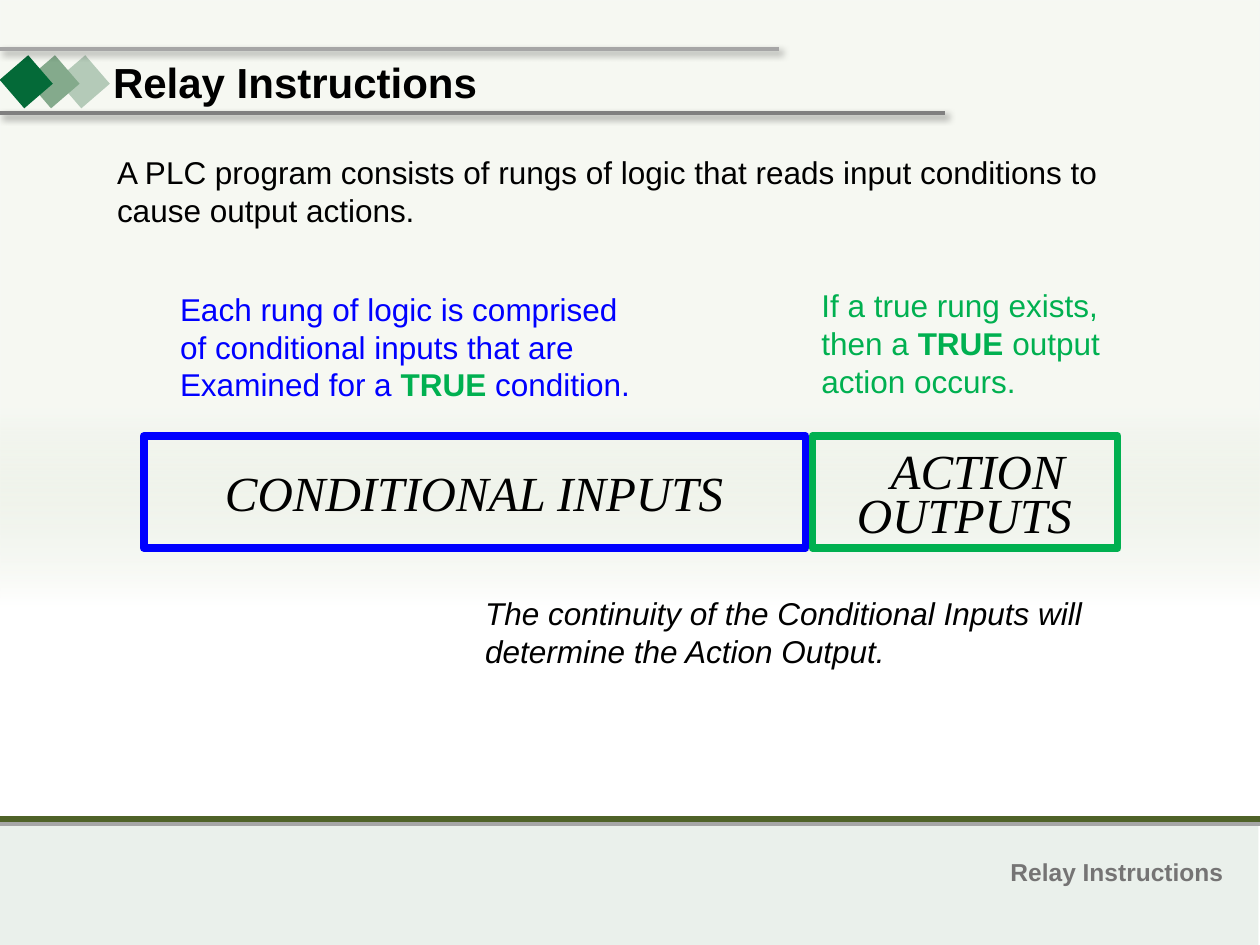
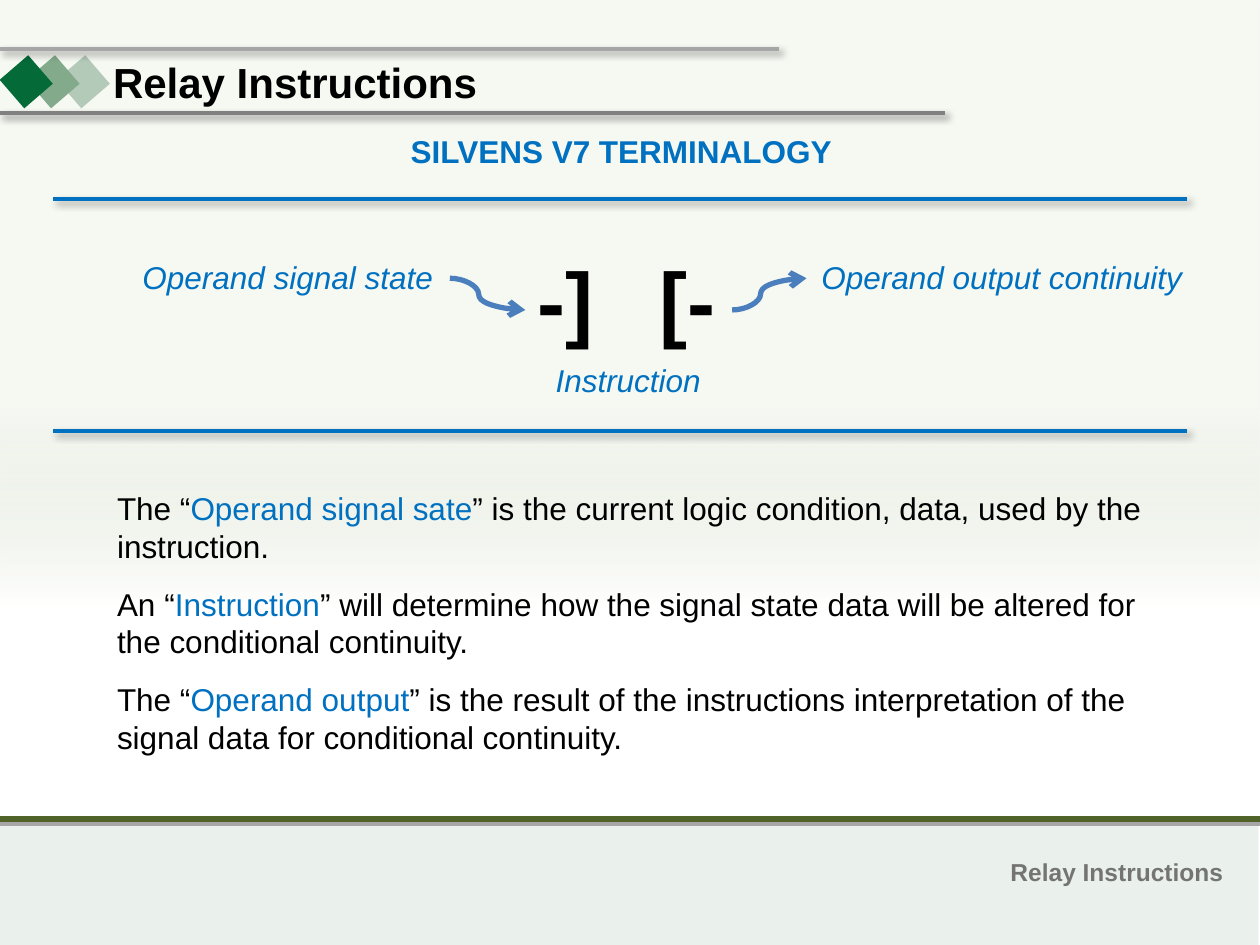
from dataclasses import dataclass

from lxml.etree import SubElement
from pptx import Presentation
from pptx.dml.color import RGBColor as RGB
from pptx.enum.shapes import MSO_CONNECTOR as LINK, MSO_SHAPE as SHAPE
from pptx.enum.text import MSO_AUTO_SIZE as FIT, PP_ALIGN as ALIGN
from pptx.oxml.ns import qn
from pptx.util import Cm, Pt


@dataclass(frozen=True)
class Theme:
    sans: str = "Arial"
    serif: str = "Times New Roman"
    black: str = "000000"
    white: str = "FFFFFF"
    sage: str = "D1DCC3"
    footer_band: str = "EAF0EB"
    footer_text: str = "757474"
    olive: str = "4F6228"
    light_gray: str = "A6A6A6"
    gray: str = "808080"
    diamonds: tuple = ("B4CAB8", "84AA8C", "046A38")
    input_blue: str = "0000FF"
    output_green: str = "00B050"
    term_blue: str = "0070C0"
    arrow_blue: str = "4B7EBC"
    footer_size: int = 14
    body_size: int = 18
    title_size: int = 24
    label_size: int = 28
    symbol_size: int = 48


theme = Theme()
body = dict(name=theme.sans, size=Pt(theme.body_size), color=theme.black)
title = body | dict(size=Pt(theme.title_size), bold=True)
footer = body | dict(size=Pt(theme.footer_size), bold=True, color=theme.footer_text)
block_label = body | dict(name=theme.serif, size=Pt(theme.label_size), italic=True)
symbol = body | dict(size=Pt(theme.symbol_size), bold=True)
term = body | dict(color=theme.term_blue)
term_label = term | dict(italic=True)
term_heading = term | dict(bold=True)
true_word = body | dict(color=theme.output_green, bold=True)
input_note = body | dict(color=theme.input_blue)
output_note = body | dict(color=theme.output_green)


def add_text(slide, place, paragraphs, wrap=True, align=ALIGN.LEFT, gap=0, tab=None):
    frame = slide.shapes.add_textbox(*map(Cm, place)).text_frame
    frame.word_wrap = wrap
    frame.auto_size = FIT.SHAPE_TO_FIT_TEXT
    for index, runs in enumerate(paragraphs):
        paragraph = frame.add_paragraph() if index else frame.paragraphs[0]
        paragraph.alignment = align
        if index:
            paragraph.space_before = Pt(gap)
        if tab:
            stops = SubElement(paragraph._p.get_or_add_pPr(), qn("a:tabLst"))
            SubElement(stops, qn("a:tab"), pos=str(Cm(tab)), algn="l")
        for words, style in runs:
            run = paragraph.add_run()
            run.text = words
            for key, value in style.items():
                if key == "color":
                    run.font.color.rgb = RGB.from_string(value)
                else:
                    setattr(run.font, key, value)


def add_line(slide, ends, color, width, shadow=False, kind=LINK.STRAIGHT):
    line = slide.shapes.add_connector(kind, *map(Cm, ends))
    line.line.color.rgb = RGB.from_string(color)
    line.line.width = Pt(width)
    effects = SubElement(line._element.spPr, qn("a:effectLst"))
    if shadow:
        cast = SubElement(effects, qn("a:outerShdw"), blurRad=str(Pt(4)),
                          dist=str(Pt(3)), dir="2700000", algn="tl", rotWithShape="0")
        tint = SubElement(cast, qn("a:srgbClr"), val=theme.black)
        SubElement(tint, qn("a:alpha"), val="40000")
    return line


deck = Presentation()
deck.slide_width, deck.slide_height = Cm(25.4), Cm(19.05)
slides = [deck.slides.add_slide(deck.slide_layouts[6]) for _ in range(2)]

for slide in slides:
    footer_band = slide.shapes.add_shape(SHAPE.RECTANGLE, Cm(-0.03), Cm(16.51), Cm(25.4), Cm(2.54))
    backdrop = slide.shapes.add_shape(SHAPE.RECTANGLE, 0, 0, Cm(25.4), Cm(16.51))
    diamonds = [slide.shapes.add_shape(SHAPE.RECTANGLE, Cm(left), Cm(1.27), Cm(0.76), Cm(0.76))
                for left in (1.3, 0.69, 0.15)]
    for part, color in zip([footer_band, *diamonds], [theme.footer_band, *theme.diamonds]):
        part.fill.solid()
        part.fill.fore_color.rgb = RGB.from_string(color)
    for part in (footer_band, backdrop, *diamonds):
        part.line.fill.background()
        part.shadow.inherit = False
    for diamond in diamonds:
        diamond.rotation = 49.2

    backdrop.fill.gradient()
    backdrop.fill.gradient_angle = 270
    stops = backdrop._element.spPr.find(qn("a:gradFill")).find(qn("a:gsLst"))
    for stop in list(stops):
        stops.remove(stop)
    for position, color, alpha in ((50, theme.sage, 20), (74, theme.white, 100), (100, theme.white, 100)):
        stop = SubElement(stops, qn("a:gs"), pos=str(position * 1000))
        tint = SubElement(stop, qn("a:srgbClr"), val=color)
        SubElement(tint, qn("a:alpha"), val=str(alpha * 1000))

    add_line(slide, (0, 16.61, 25.4, 16.61), theme.light_gray, 2.25)
    add_line(slide, (0, 16.51, 25.4, 16.51), theme.olive, 3)
    add_line(slide, (-0.03, 2.27, 19.05, 2.27), theme.gray, 2.25, shadow=True)
    add_line(slide, (-0.03, 0.98, 15.7, 0.98), theme.light_gray, 2.25, shadow=True)
    add_text(slide, (20.12, 17.15, 4.83, 0.86), [[("Relay Instructions", footer)]], wrap=False)
    add_text(slide, (2.03, 1.02, 7.92, 1.27), [[("Relay Instructions", title)]], wrap=False)

rung, terms = slides

add_text(rung, (2.11, 2.97, 22, 1.8), [[
    ("A PLC program consists of rungs of logic that reads input conditions to cause output actions.", body)]])
add_text(rung, (3.38, 5.72, 9.96, 2.57), [[
    ("Each rung of logic is comprised of conditional inputs that are Examined for a ", input_note),
    ("TRUE", true_word), (" condition.", input_note)]])
add_text(rung, (16.31, 5.64, 7.19, 2.57), [[
    ("If a true rung exists, then a ", output_note),
    ("TRUE", true_word), (" output action occurs.", output_note)]])
add_text(rung, (9.53, 11.86, 12.7, 1.8), [[
    ("The continuity of the Conditional Inputs will determine the Action Output.", body | dict(italic=True))]])

for left, width, color in ((2.9, 13.34, theme.input_blue), (16.38, 6.15, theme.output_green)):
    block = rung.shapes.add_shape(SHAPE.RECTANGLE, Cm(left), Cm(8.79), Cm(width), Cm(2.26))
    block.fill.background()
    block.line.color.rgb = RGB.from_string(color)
    block.line.width = Pt(4.5)
    block.shadow.inherit = False

for words, place in (("CONDITIONAL INPUTS", (4.22, 9.19, 10.67, 1.45)),
                     ("OUTPUTS", (16.99, 9.65, 4.9, 1.45)),
                     ("ACTION", (17.68, 8.76, 4.06, 1.45))):
    add_text(rung, place, [[(words, block_label)]], wrap=False, align=ALIGN.CENTER)

add_text(terms, (8.03, 2.54, 9.35, 1.02), [[("SILVENS V7 TERMINALOGY", term_heading)]])
for top in (4.01, 8.69):
    add_line(terms, (1.07, top, 23.93, top), theme.term_blue, 2.25, shadow=True)

for words, place in (("Operand signal state", (2.62, 5.08, 6.55, 1.02)),
                     ("Operand output continuity", (16.31, 5.08, 8.2, 1.02)),
                     ("Instruction", (10.95, 7.16, 3.48, 1.02))):
    add_text(terms, place, [[(words, term_label)]])
add_text(terms, (10.59, 4.88, 4.22, 2.31), [[("-]\t[-", symbol)]], wrap=False, tab=2.45)

for ends in ((9.07, 5.61, 10.59, 6.25), (14.76, 6.25, 16.26, 5.61)):
    arrow = add_line(terms, ends, theme.arrow_blue, 3, kind=LINK.CURVE)
    bend = arrow._element.spPr.find(qn("a:prstGeom")).find(qn("a:avLst"))
    SubElement(bend, qn("a:gd"), name="adj1", fmla="val 38200")
    SubElement(arrow.line._get_or_add_ln(), qn("a:tailEnd"), type="arrow")

definitions = (
    ("The “", "Operand signal sate",
     "” is the current logic condition, data, used by the instruction."),
    ("An “", "Instruction",
     "” will determine how the signal state data will be altered for the conditional continuity."),
    ("The “", "Operand output",
     "” is the result of the instructions interpretation of the signal data for conditional continuity."),
)
add_text(terms, (2.11, 9.73, 22.02, 5.74),
         [list(zip(definition, (body, term, body))) for definition in definitions], gap=11.5)

deck.save("out.pptx")
